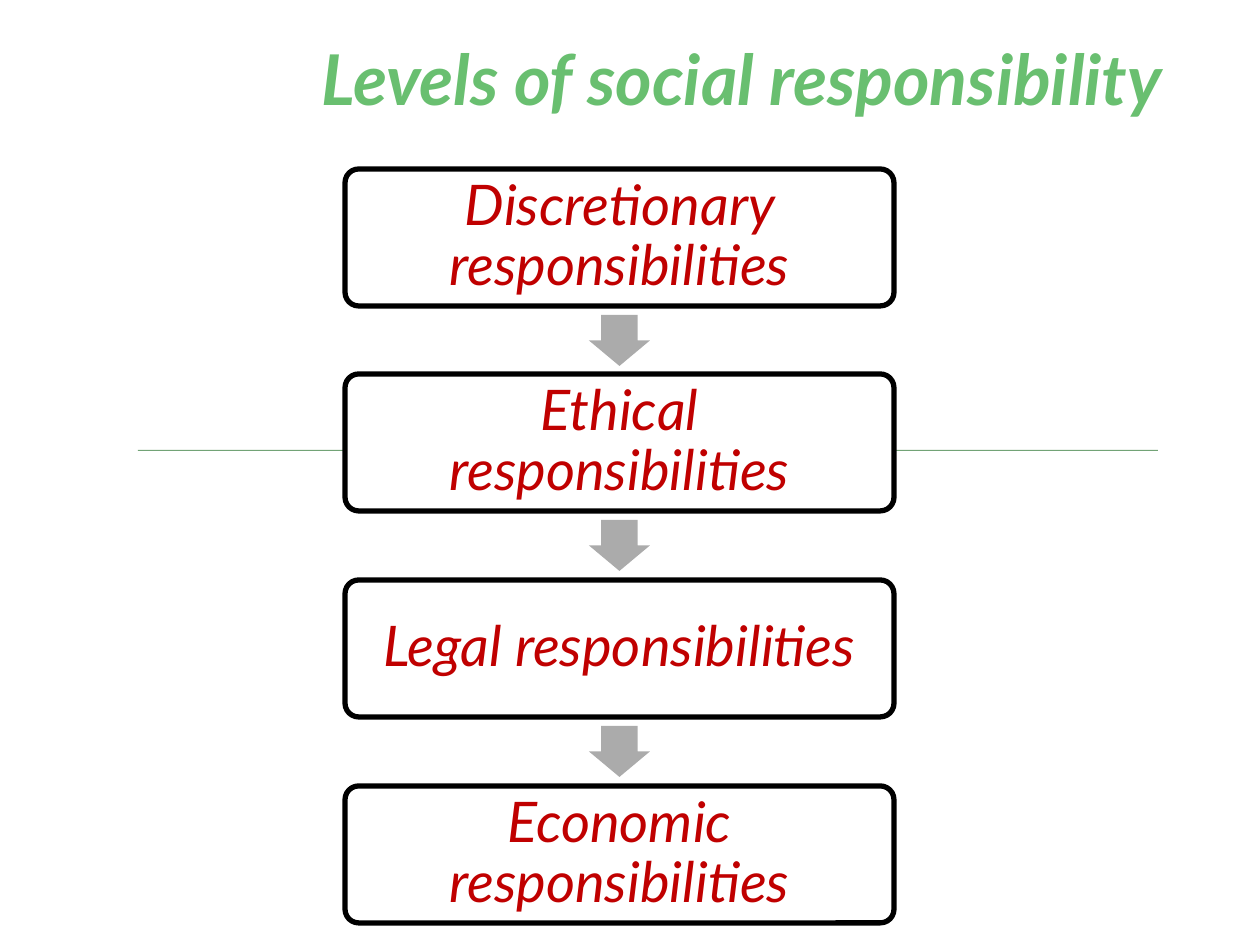
from dataclasses import dataclass

from pptx import Presentation
from pptx.dml.color import RGBColor
from pptx.enum.shapes import MSO_SHAPE
from pptx.enum.text import MSO_ANCHOR, PP_ALIGN
from pptx.shapes.autoshape import Shape
from pptx.slide import Slide
from pptx.util import Emu, Pt

PIXEL = 914400 // 126
FONT = "Lato"
LEVELS = ("Discretionary", "Ethical", "Legal", "Economic")
FIRST_TOP, LAST_TOP = 169, 786
ARROW_OFFSET = 146


@dataclass(frozen=True)
class Box:
    left: int
    top: int
    width: int
    height: int

    def emu(self) -> tuple[Emu, ...]:
        return tuple(Emu(value * PIXEL) for value in
                     (self.left, self.top, self.width, self.height))


@dataclass(frozen=True)
class TextStyle:
    size: int
    color: str
    align: PP_ALIGN
    anchor: MSO_ANCHOR
    margins: tuple[int, int, int, int]
    bold: bool = False
    line_spacing: float = 1.0


TITLE = TextStyle(40, "69BF70", PP_ALIGN.RIGHT, MSO_ANCHOR.BOTTOM, (13, 6, 14, 6), bold=True)
LEVEL = TextStyle(32, "C00000", PP_ALIGN.CENTER, MSO_ANCHOR.MIDDLE, (16, 16, 16, 16),
                  line_spacing=0.9)


def rgb(color: str) -> RGBColor:
    return RGBColor.from_string(color)


def add_preset(slide: Slide, preset: MSO_SHAPE, box: Box, fill: str,
               adjustments: tuple[float, ...] = ()) -> Shape:
    shape = slide.shapes.add_shape(preset, *box.emu())
    shape.shadow.inherit = False
    shape.fill.solid()
    shape.fill.fore_color.rgb = rgb(fill)
    shape.line.fill.background()
    for index, adjustment in enumerate(adjustments):
        shape.adjustments[index] = adjustment
    return shape


def write(shape: Shape, text: str, style: TextStyle) -> None:
    frame = shape.text_frame
    frame.text = text
    frame.word_wrap = True
    frame.vertical_anchor = style.anchor
    (frame.margin_left, frame.margin_top, frame.margin_right, frame.margin_bottom) = (
        Emu(margin * PIXEL) for margin in style.margins)
    paragraph = frame.paragraphs[0]
    paragraph.alignment = style.align
    paragraph.line_spacing = style.line_spacing
    font = paragraph.runs[0].font
    font.name = FONT
    font.size = Pt(style.size)
    font.bold = style.bold
    font.italic = True
    font.color.rgb = rgb(style.color)


def add_level(slide: Slide, name: str, top: int) -> None:
    shape = add_preset(slide, MSO_SHAPE.ROUNDED_RECTANGLE, Box(345, top, 549, 137),
                       "FFFFFF", (0.1,))
    shape.line.color.rgb = rgb("000000")
    shape.line.width = Pt(3)
    write(shape, f"{name} responsibilities", LEVEL)


def add_arrow(slide: Slide, top: int) -> None:
    add_preset(slide, MSO_SHAPE.DOWN_ARROW, Box(589, top, 61, 51), "ABABAB", (0.6, 0.5))


def main() -> None:
    presentation = Presentation()
    presentation.slide_width = Emu(1260 * PIXEL)
    presentation.slide_height = Emu(945 * PIXEL)
    slide = presentation.slides.add_slide(presentation.slide_layouts[6])

    add_preset(slide, MSO_SHAPE.RECTANGLE, Box(138, 450, 1020, 1), "72A376")
    title = slide.shapes.add_textbox(*Box(105, 26, 1071, 100).emu())
    write(title, "Levels of social responsibility", TITLE)

    last = len(LEVELS) - 1
    for index, name in enumerate(LEVELS):
        top = FIRST_TOP + index * (LAST_TOP - FIRST_TOP) // last
        add_level(slide, name, top)
        if index < last:
            add_arrow(slide, top + ARROW_OFFSET)

    presentation.save("out.pptx")


main()
